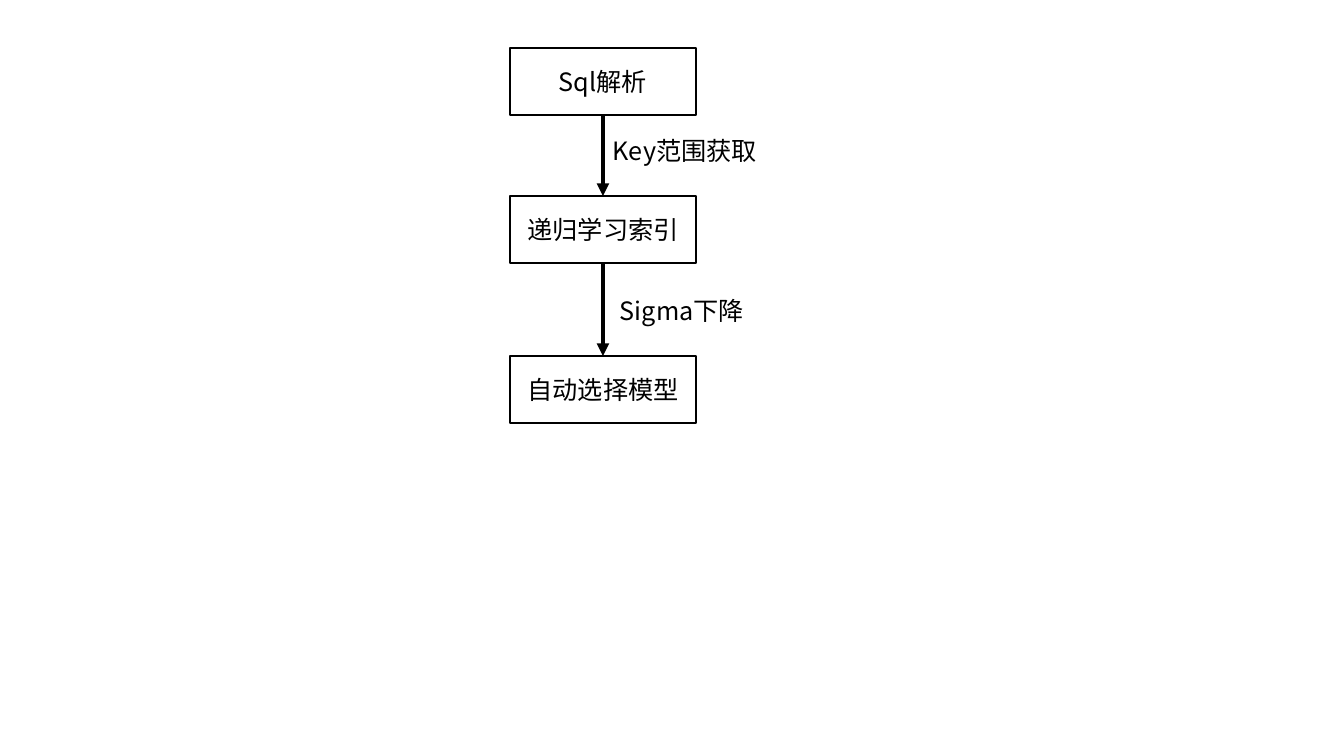
from pptx import Presentation
from pptx.dml.color import RGBColor
from pptx.enum.shapes import MSO_CONNECTOR as Connector, MSO_SHAPE as Shape
from pptx.enum.text import MSO_ANCHOR as Anchor, MSO_AUTO_SIZE as AutoSize, PP_ALIGN as Align
from pptx.oxml.ns import qn
from pptx.util import Emu, Pt
from lxml.etree import SubElement

PIXEL = 914400 / 100.8
BLACK = RGBColor(0x00, 0x00, 0x00)
WHITE = RGBColor(0xFF, 0xFF, 0xFF)
FONT = "Noto Sans CJK SC"

# Flowchart steps: text, top
BOX_LEFT, BOX_WIDTH, BOX_HEIGHT = 510, 186, 67
CENTER = BOX_LEFT + BOX_WIDTH // 2
STEPS = [("Sql解析", 48), ("递归学习索引", 196), ("自动选择模型", 356)]

# Arrow labels: text, left, top; all share one right edge
LABEL_RIGHT, LABEL_HEIGHT = 770, 40
LABELS = [("Key范围获取", 603, 130), ("Sigma下降", 610, 290)]


def px(pixels):
    return Emu(round(pixels * PIXEL))


def add_text(shape, text, alignment):
    paragraph = shape.text_frame.paragraphs[0]
    paragraph.alignment = alignment
    run = paragraph.add_run()
    run.text = text
    run.font.size = Pt(18)
    run.font.name = FONT
    run.font.color.rgb = BLACK
    SubElement(run.font._element, qn("a:ea"), typeface=FONT)


def add_step(group, text, top):
    box = group.shapes.add_shape(
        Shape.RECTANGLE, px(BOX_LEFT), px(top), px(BOX_WIDTH), px(BOX_HEIGHT))
    box.shadow.inherit = False
    box.fill.solid()
    box.fill.fore_color.rgb = WHITE
    box.line.color.rgb = BLACK
    box.line.width = Pt(1)
    box.text_frame.word_wrap = True
    box.text_frame.vertical_anchor = Anchor.MIDDLE
    add_text(box, text, Align.CENTER)
    return box


def add_arrow(group, upper, lower):
    arrow = group.shapes.add_connector(
        Connector.STRAIGHT, px(CENTER), upper.top + upper.height, px(CENTER), lower.top)
    arrow.begin_connect(upper, 2)
    arrow.end_connect(lower, 0)
    arrow.line.color.rgb = BLACK
    arrow.line.width = Pt(3)
    SubElement(arrow.line._get_or_add_ln(), qn("a:tailEnd"), type="triangle")
    SubElement(arrow._element.spPr, qn("a:effectLst"))


def add_label(group, text, left, top):
    label = group.shapes.add_textbox(
        px(left), px(top), px(LABEL_RIGHT - left), px(LABEL_HEIGHT))
    label.text_frame.word_wrap = True
    label.text_frame.auto_size = AutoSize.SHAPE_TO_FIT_TEXT
    add_text(label, text, Align.LEFT)


def main():
    presentation = Presentation()
    presentation.slide_width = px(1344)
    presentation.slide_height = px(756)
    slide = presentation.slides.add_slide(presentation.slide_layouts[6])
    flowchart = slide.shapes.add_group_shape()

    # Steps, joined from top to bottom
    boxes = [add_step(flowchart, text, top) for text, top in STEPS]
    for upper, lower in zip(boxes, boxes[1:]):
        add_arrow(flowchart, upper, lower)

    # Labels beside the arrows
    for text, left, top in LABELS:
        add_label(flowchart, text, left, top)

    presentation.save("out.pptx")


main()
